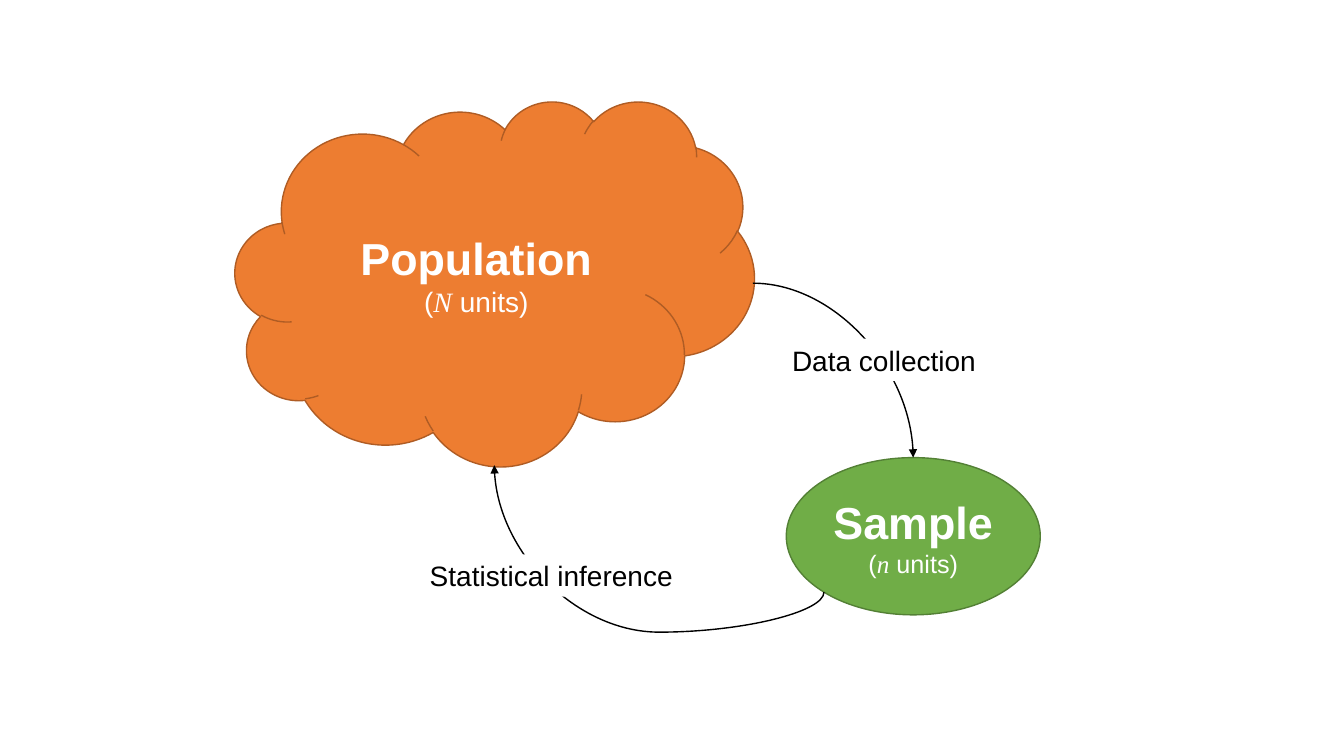
from dataclasses import dataclass

from lxml import etree
from pptx import Presentation
from pptx.dml.color import RGBColor
from pptx.enum.shapes import MSO_CONNECTOR, MSO_SHAPE
from pptx.enum.text import MSO_ANCHOR, PP_ALIGN
from pptx.oxml.ns import qn
from pptx.util import Inches, Pt

CLOUD, ELLIPSE = MSO_SHAPE.CLOUD, MSO_SHAPE.OVAL
LABEL = MSO_SHAPE.ROUNDED_RECTANGLE
CURVE = MSO_CONNECTOR.CURVE
MIDDLE, CENTER = MSO_ANCHOR.MIDDLE, PP_ALIGN.CENTER


@dataclass(frozen=True)
class Theme:
    orange: str = "ED7D31"
    dark_orange: str = "AF5C24"
    green: str = "70AD47"
    dark_green: str = "538035"
    white: str = "FFFFFF"
    black: str = "000000"
    font: str = "Arial"
    symbol_font: str = "Times New Roman"
    heading: int = 32
    body: int = 20
    small: int = 18
    line: int = 1


theme = Theme()
presentation = Presentation()
presentation.slide_width = Inches(13.333)
presentation.slide_height = Inches(7.5)
slide = presentation.slides.add_slide(presentation.slide_layouts[6])

# Grid of 40 columns and 30 rows
column = presentation.slide_width / 40
row = presentation.slide_height / 30


def add_node(kind, box, fill, outline, color, paragraphs):
    """Add a filled shape; each run is (text, size, bold, symbol)."""
    left, top, width, height = box
    shape = slide.shapes.add_shape(kind, int(left * column), int(top * row),
                                   int(width * column), int(height * row))
    shape.shadow.inherit = False
    shape.fill.solid()
    shape.fill.fore_color.rgb = RGBColor.from_string(fill)
    if outline:
        shape.line.color.rgb = RGBColor.from_string(outline)
        shape.line.width = Pt(theme.line)
    else:
        shape.line.fill.background()
    frame = shape.text_frame
    frame.word_wrap = True
    frame.vertical_anchor = MIDDLE
    for index, runs in enumerate(paragraphs):
        paragraph = frame.add_paragraph() if index else frame.paragraphs[0]
        paragraph.alignment = CENTER
        for text, size, bold, symbol in runs:
            run = paragraph.add_run()
            run.text = text
            run.font.name = theme.symbol_font if symbol else theme.font
            run.font.size = Pt(size)
            run.font.bold = bold
            run.font.italic = symbol
            run.font.color.rgb = RGBColor.from_string(color)


def add_arrow(start, end, preset, rotation=0, bend=None):
    """Add a curved arrow; start and end are given before rotation."""
    arrow = slide.shapes.add_connector(CURVE, int(start[0] * column), int(start[1] * row),
                                       int(end[0] * column), int(end[1] * row))
    arrow.line.color.rgb = RGBColor.from_string(theme.black)
    arrow.line.width = Pt(theme.line)
    properties = arrow._element.spPr
    properties.find(qn("a:xfrm")).set("rot", str(rotation * 60000))
    geometry = properties.find(qn("a:prstGeom"))
    geometry.set("prst", preset)
    if bend is not None:
        adjustments = geometry.find(qn("a:avLst"))
        if adjustments is None:
            adjustments = etree.SubElement(geometry, qn("a:avLst"))
        etree.SubElement(adjustments, qn("a:gd"), name="adj1", fmla=f"val {bend}")
    etree.SubElement(properties.find(qn("a:ln")), qn("a:tailEnd"), type="triangle")
    etree.SubElement(properties, qn("a:effectLst"))


# Population and sample
nodes = [
    (CLOUD, (7, 4, 15.45, 14.48), theme.orange, theme.dark_orange,
     "Population", "N", theme.body),
    (ELLIPSE, (23.4, 18.16, 7.56, 6.24), theme.green, theme.dark_green,
     "Sample", "n", theme.small),
]
for kind, box, fill, outline, heading, symbol, size in nodes:
    add_node(kind, box, fill, outline, theme.white, [
        [(heading, theme.heading, True, False)],
        [("(", size, False, False), (symbol, size, False, True),
         (" units)", size, False, False)],
    ])

# Arrows between them
add_arrow((22.41, 11.24), (27.18, 18.16), "curvedConnector2")
add_arrow((21.51, 14.44), (17.73, 27.52), "curvedConnector3", rotation=90, bend=-31500)

# Labels over the arrows
labels = [
    ("Data collection", (21.9, 13.44, 8.82, 1.68)),
    ("Statistical inference", (11.43, 22, 9.96, 1.68)),
]
for text, box in labels:
    add_node(LABEL, box, theme.white, None, theme.black,
             [[(text, theme.body, False, False)]])

presentation.save("out.pptx")
